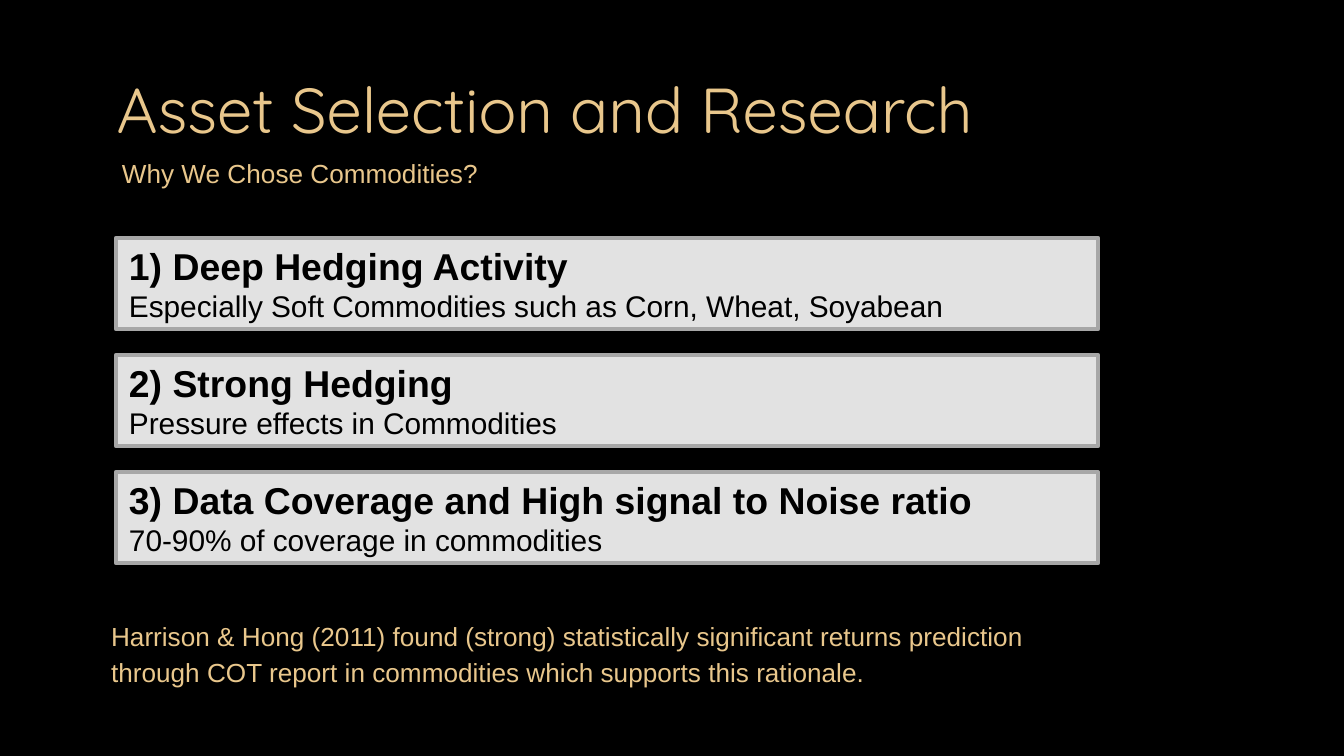
from pptx import Presentation
from pptx.dml.color import RGBColor
from pptx.enum.shapes import MSO_SHAPE
from pptx.enum.text import MSO_ANCHOR, PP_ALIGN
from pptx.util import Pt


def rgb(value):
    return RGBColor.from_string(value)


def set_font(p, name, size, color, bold=False):
    p.font.name = name
    p.font.size = Pt(size)
    p.font.color.rgb = rgb(color)
    p.font.bold = bold


GOLD = "E9C78C"

prs = Presentation()
prs.slide_width, prs.slide_height = Pt(720), Pt(405)
s = prs.slides.add_slide(prs.slide_layouts[6])
s.background.fill.solid()
s.background.fill.fore_color.rgb = rgb("000000")

texts = [
    ("Asset Selection and Research", 55.4, 30.2, 618.5, 96.5, "Quicksand", 34, 7.2, 7.2, 1),
    ("Why We Chose Commodities?", 46.1, 78.5, 360, 25.2, "Arial", 14, 19.2, 3.6, 1.15),
    ("Harrison & Hong (2011) found (strong) statistically significant returns prediction "
     "through COT report in commodities which supports this rationale.",
     40.3, 326.2, 558, 44.6, "Arial", 14, 19.2, 3.6, 1.15),
]
for text, x, y, w, h, font, size, left, top, spacing in texts:
    tf = s.shapes.add_textbox(Pt(x), Pt(y), Pt(w), Pt(h)).text_frame
    tf.word_wrap = True
    tf.margin_left = Pt(left)
    tf.margin_top = tf.margin_bottom = Pt(top)
    p = tf.paragraphs[0]
    p.text = text
    p.line_spacing = spacing
    set_font(p, font, size, GOLD)

reasons = [
    ("1) Deep Hedging Activity", "Especially Soft Commodities such as Corn, Wheat, Soyabean"),
    ("2) Strong Hedging", "Pressure effects in Commodities"),
    ("3) Data Coverage and High signal to Noise ratio", "70-90% of coverage in commodities"),
]
for i, (heading, detail) in enumerate(reasons):
    sp = s.shapes.add_shape(MSO_SHAPE.RECTANGLE, Pt(62), Pt(127.4 + i * 62.7), Pt(526.3), Pt(49))
    sp.shadow.inherit = False
    sp.fill.solid()
    sp.fill.fore_color.rgb = rgb("E2E2E2")
    sp.line.color.rgb = rgb("A7A7A7")
    sp.line.width = Pt(2)
    tf = sp.text_frame
    tf.word_wrap = True
    tf.vertical_anchor = MSO_ANCHOR.MIDDLE
    tf.text = f"{heading}\n{detail}"
    for p, size, bold in zip(tf.paragraphs, (20, 16), (True, False)):
        p.alignment = PP_ALIGN.LEFT
        set_font(p, "Arial", size, "000000", bold)

prs.save("out.pptx")
